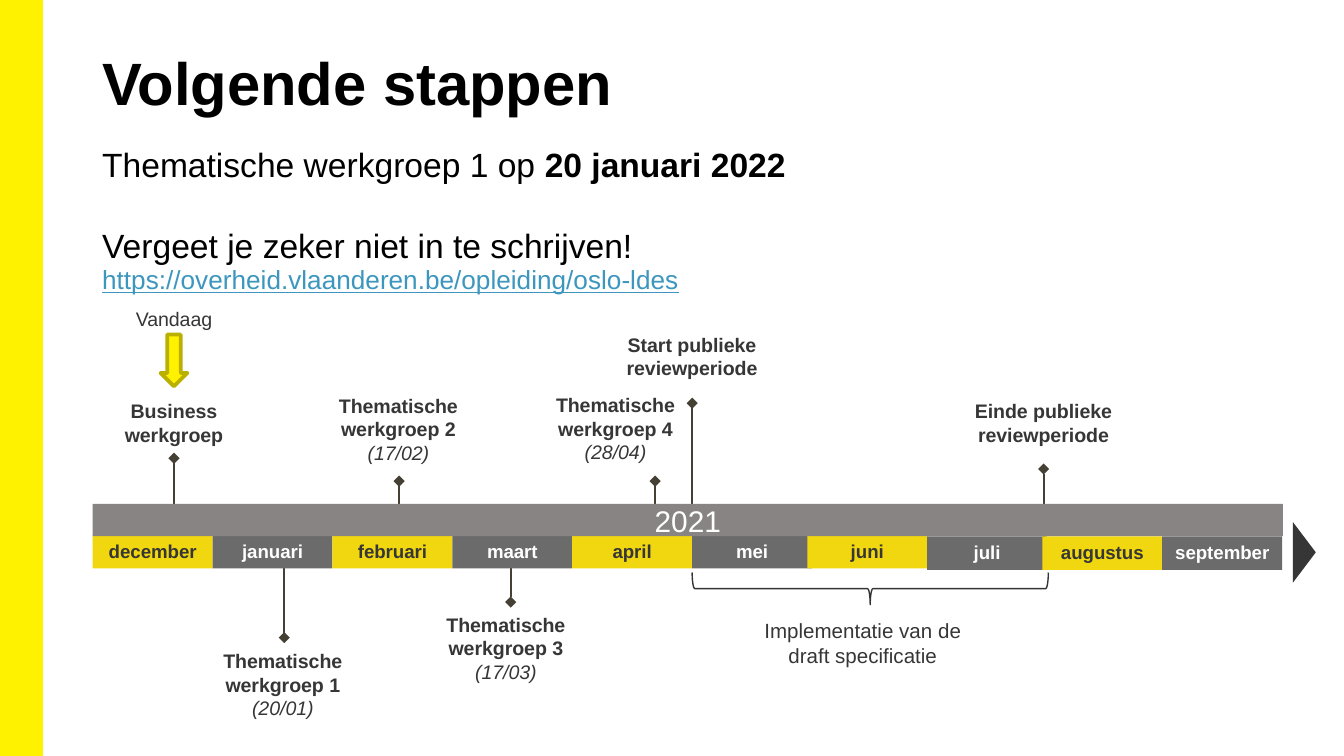
from lxml import etree
from pptx import Presentation
from pptx.dml.color import RGBColor
from pptx.enum.shapes import MSO_CONNECTOR, MSO_SHAPE
from pptx.enum.text import MSO_ANCHOR, PP_ALIGN
from pptx.oxml.ns import qn
from pptx.util import Inches, Pt

RECT = MSO_SHAPE.RECTANGLE
ARROW = MSO_SHAPE.DOWN_ARROW
POINT = MSO_SHAPE.ISOSCELES_TRIANGLE
BRACE = MSO_SHAPE.LEFT_BRACE
LINE = MSO_CONNECTOR.STRAIGHT
LEFT, MID = PP_ALIGN.LEFT, PP_ALIGN.CENTER
TOP, CENTRE = MSO_ANCHOR.TOP, MSO_ANCHOR.MIDDLE

BLACK = RGBColor(0x00, 0x00, 0x00)
WHITE = RGBColor(0xFF, 0xFF, 0xFF)
DARK = RGBColor(0x37, 0x36, 0x36)
INK = RGBColor(0x35, 0x33, 0x33)
STEM = RGBColor(0x45, 0x40, 0x34)
GREY = RGBColor(0x6B, 0x6B, 0x6B)
BAND = RGBColor(0x88, 0x84, 0x84)
GOLD = RGBColor(0xF0, 0xD7, 0x0F)
YELLOW = RGBColor(0xFF, 0xF2, 0x00)
OLIVE = RGBColor(0xBA, 0xB0, 0x00)
BLUE = RGBColor(0x3C, 0x96, 0xBE)

WIDE, HIGH = 100, 56.25
CELL = Inches(0.1)
EDGE = 6.9
STEP, SLIP = 8.92, 0.35
PAD = (0.7, 0.4, 0.7, 0.4)

MONTHS = ("december", "januari", "februari", "maart", "april",
          "mei", "juni", "juli", "augustus", "september")
PINS = ((29.7, 35.8, 39.2), (48.75, 35.8, 41.4), (38, 44.8, 41.6),
        (21.15, 47.45, 42.1), (12.95, 34.1, 39.8), (51.5, 30, 40.4),
        (77.65, 34.9, 40.1))
LABELS = (
    (6.9, 29.7, "Business werkgroep", ""),
    (45.45, 24.75, "Start publieke reviewperiode", ""),
    (71.6, 29.7, "Einde publieke reviewperiode", ""),
    (15, 48.3, "Thematische werkgroep 1", "(20/01)"),
    (23.6, 29.3, "Thematische werkgroep 2", "(17/02)"),
    (31.6, 45.6, "Thematische werkgroep 3", "(17/03)"),
    (39.75, 29.25, "Thematische werkgroep 4", "(28/04)"),
)


def grid(*cells):
    return [round(n * CELL) for n in cells]


def style(run, size, tint, bold=False):
    font = run.font
    font.name, font.size, font.bold = "Arial", Pt(size), bold
    font.color.rgb = tint


def fit(frame, pad, anchor):
    frame.word_wrap = True
    frame.vertical_anchor = anchor
    (frame.margin_left, frame.margin_top,
     frame.margin_right, frame.margin_bottom) = grid(*pad)


def write(para, text, size, tint, bold=False, align=LEFT):
    para.text = text
    para.alignment = align
    for run in para.runs:
        style(run, size, tint, bold)


def shape(slide, kind, area, fill=None, edge=None, width=1):
    item = slide.shapes.add_shape(kind, *grid(*area))
    item.shadow.inherit = False
    if fill is None:
        item.fill.background()
    else:
        item.fill.solid()
        item.fill.fore_color.rgb = fill
    if edge is None:
        item.line.fill.background()
    else:
        item.line.color.rgb = edge
        item.line.width = Pt(width)
    return item


def block(slide, area, fill, text, size, tint, bold, pad):
    frame = shape(slide, RECT, area, fill).text_frame
    fit(frame, pad, CENTRE)
    write(frame.paragraphs[0], text, size, tint, bold, MID)


def box(slide, area, pad=(0, 0, 0, 0)):
    frame = slide.shapes.add_textbox(*grid(*area)).text_frame
    fit(frame, pad, TOP)
    return frame


def label(slide, area, text, size, bold=False, note=""):
    para = box(slide, area).paragraphs[0]
    write(para, f"{text}\n{note}" if note else text, size, DARK, bold, MID)
    if note:
        font = para.runs[-1].font
        font.bold, font.italic = False, True


def pin(slide, x, tip, foot):
    item = slide.shapes.add_connector(LINE, *grid(x, tip, x, foot))
    item.line.color.rgb = STEM
    item.line.width = Pt(1)
    line = item.line._get_or_add_ln()
    etree.SubElement(line, qn("a:headEnd"), type="diamond")
    etree.SubElement(item._element.spPr, qn("a:effectLst"))


def month(slide, spot, name):
    x = EDGE + spot * STEP - SLIP * max(0, spot // 2 - 2)
    y = 39.9 if spot > 6 else 39.8
    fill, tint = (GREY, WHITE) if spot % 2 else (GOLD, DARK)
    block(slide, (x, y, STEP, 2.5), fill, name, 10, tint, True,
          (0, 0.8, 0, 0.9))


def intro(slide):
    head = box(slide, (EDGE, 3, 86.2, 8.1), PAD).paragraphs[0]
    write(head, "Volgende stappen", 32, BLACK, True)
    frame = box(slide, (EDGE, 10.3, 86.2, 13), PAD)
    date = frame.paragraphs[0]
    write(date, "Thematische werkgroep 1 op ", 18, BLACK)
    run = date.add_run()
    run.text = "20 januari 2022"
    style(run, 18, BLACK, True)
    call = frame.add_paragraph()
    write(call, "Vergeet je zeker niet in te schrijven!", 18, BLACK)
    call.space_before = Pt(22)
    link = frame.add_paragraph()
    write(link, "https://overheid.vlaanderen.be/opleiding/oslo-ldes", 14, BLUE)
    link.runs[0].font.underline = True
    link.line_spacing = 0.95


def timeline(slide):
    for spot in PINS:
        pin(slide, *spot)
    for spot, name in enumerate(MONTHS):
        month(slide, spot, name)
    block(slide, (EDGE, 37.5, 88.55, 2.4), BAND, "2021", 16, WHITE, False,
          (1, 0.5, 1, 0.5))
    shape(slide, POINT, (94.8, 40.25, 4.5, 1.7), DARK).rotation = 90
    brace = shape(slide, BRACE, (63.55, 30.55, 2.4, 26.5), None, INK, 0.75)
    brace.rotation = 270
    shape(slide, ARROW, (11.95, 24.9, 2, 3.85), YELLOW, OLIVE, 2)
    for x, y, text, note in LABELS:
        label(slide, (x, y, 12.1, 4.2), text, 10.5, True, note)
    label(slide, (EDGE, 22.85, 12.1, 2.6), "Vandaag", 10.5)
    label(slide, (55.2, 46, 18, 4.2),
          "Implementatie van de draft specificatie", 11)


def main():
    deck = Presentation()
    deck.slide_width, deck.slide_height = grid(WIDE, HIGH)
    slide = deck.slides.add_slide(deck.slide_layouts[6])
    shape(slide, RECT, (0, 0, 3.1, HIGH), YELLOW, YELLOW)
    intro(slide)
    timeline(slide)
    deck.save("out.pptx")


if __name__ == "__main__":
    main()
